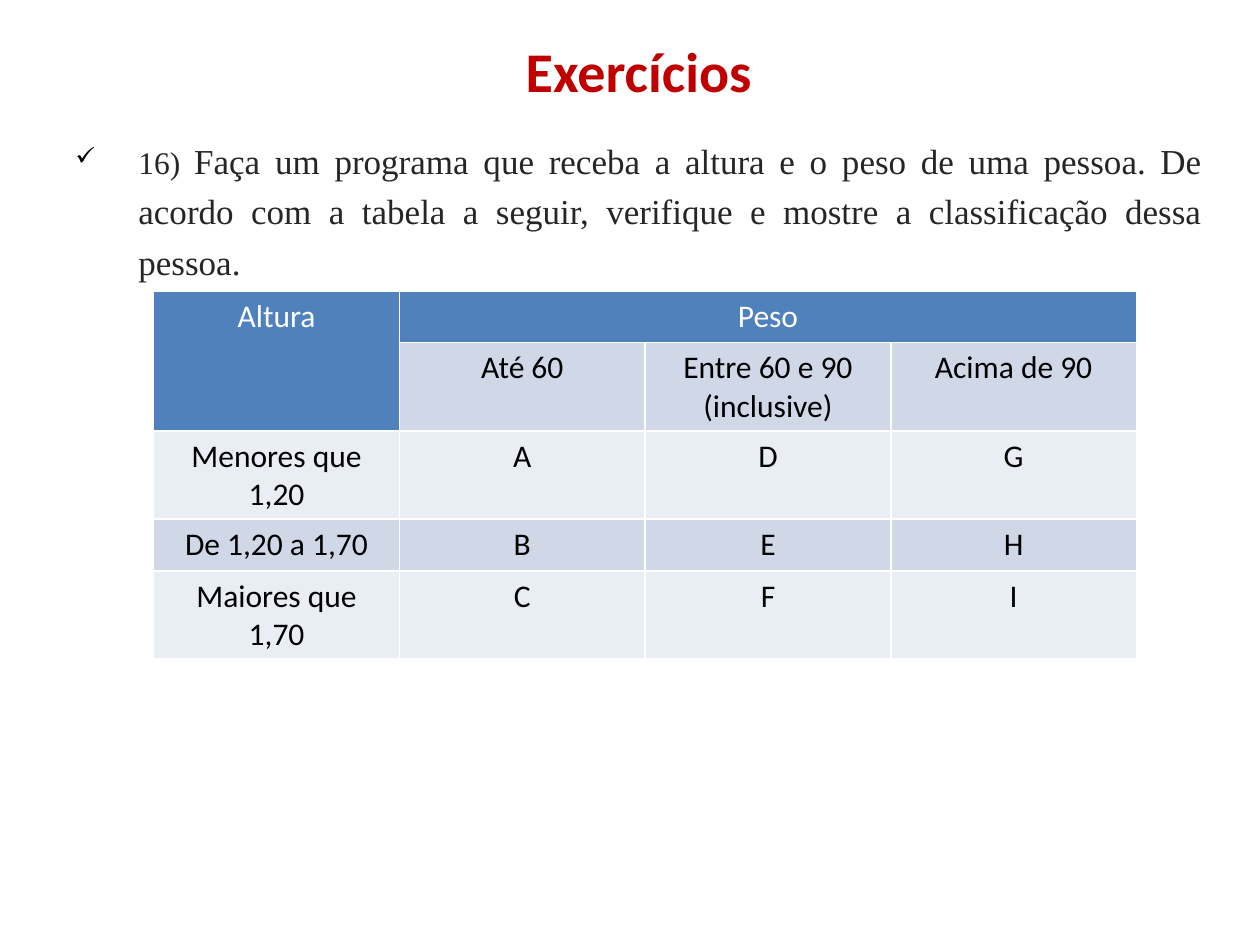
from lxml.etree import SubElement
from pptx import Presentation
from pptx.dml.color import RGBColor
from pptx.enum.text import MSO_ANCHOR as Anchor, PP_ALIGN as Align
from pptx.oxml.ns import qn
from pptx.util import Inches, Pt

HEADER, BAND_DARK, BAND_LIGHT = "4F81BD", "D0D8E8", "E9EDF4"
WHITE, BLACK, RED, GRAY = "FFFFFF", "000000", "C00000", "262626"
SANS, SERIF = "Calibri", "Times New Roman"
ROWS = [
    ["Altura", "Peso", "", ""],
    ["", "Até 60", "Entre 60 e 90 (inclusive)", "Acima de 90"],
    ["Menores que 1,20", "A", "D", "G"],
    ["De 1,20 a 1,70", "B", "E", "H"],
    ["Maiores que 1,70", "C", "F", "I"],
]
ROW_HEIGHTS = [0.41, 0.7, 0.7, 0.41, 0.7]
MERGES = [((0, 0), (1, 0)), ((0, 1), (0, 3))]


def color(value):
    return RGBColor.from_string(value)


class SlideBuilder:
    """Holds the slide and the style of its title, exercise text and table."""

    def __init__(self, slide):
        self.slide = slide

    def style(self, run, size, font, hex_color, bold=False):
        run.font.size = Pt(size)
        run.font.name = font
        run.font.bold = bold
        run.font.color.rgb = color(hex_color)

    def text_box(self, left, top, width, height):
        shape = self.slide.shapes.add_textbox(*map(Inches, (left, top, width, height)))
        shape.text_frame.word_wrap = True
        return shape.text_frame

    def title(self, text, *bounds):
        text_frame = self.text_box(*bounds)
        text_frame.vertical_anchor = Anchor.MIDDLE
        text_frame.text = text
        paragraph = text_frame.paragraphs[0]
        paragraph.alignment = Align.CENTER
        self.style(paragraph.runs[0], 32, SANS, RED, bold=True)

    def exercise(self, parts, *bounds):
        paragraph = self.text_box(*bounds).paragraphs[0]
        paragraph.alignment = Align.JUSTIFY
        paragraph.line_spacing = 1.2
        paragraph.space_before = Pt(6)
        for text, size in parts:
            run = paragraph.add_run()
            run.text = text
            self.style(run, size, SERIF, GRAY)
        self.bullet(paragraph, "✓")

    def bullet(self, paragraph, symbol):
        properties = paragraph._p.get_or_add_pPr()
        properties.set("marL", str(Inches(0.65)))
        properties.set("indent", str(Inches(-0.5)))
        bullet_color = SubElement(properties, qn("a:buClr"))
        SubElement(bullet_color, qn("a:srgbClr"), val=BLACK)
        SubElement(properties, qn("a:buSzPct"), val="80000")
        SubElement(properties, qn("a:buChar"), char=symbol)

    def table(self, rows, heights, merges, left, top, width):
        bounds = map(Inches, (left, top, width, sum(heights)))
        table = self.slide.shapes.add_table(len(rows), len(rows[0]), *bounds).table
        for row, height in zip(table.rows, heights):
            row.height = Inches(height)
        for start, end in merges:
            table.cell(*start).merge(table.cell(*end))
        for row_index, row in enumerate(rows):
            band = BAND_DARK if row_index % 2 else BAND_LIGHT
            for column_index, text in enumerate(row):
                cell = table.cell(row_index, column_index)
                is_header = cell.is_merge_origin or cell.is_spanned
                self.cell(cell, text, HEADER if is_header else band, WHITE if is_header else BLACK)

    def cell(self, cell, text, fill, text_color):
        self.borders(cell)
        cell.fill.solid()
        cell.fill.fore_color.rgb = color(fill)
        if text:
            cell.text_frame.text = text
            paragraph = cell.text_frame.paragraphs[0]
            paragraph.alignment = Align.CENTER
            self.style(paragraph.runs[0], 18, SANS, text_color)

    def borders(self, cell):
        properties = cell._tc.get_or_add_tcPr()
        for side in "LRTB":
            line = SubElement(properties, qn(f"a:ln{side}"), w=str(Pt(1)))
            fill = SubElement(line, qn("a:solidFill"))
            SubElement(fill, qn("a:srgbClr"), val=WHITE)


def main():
    presentation = Presentation()
    presentation.slide_width = Inches(10)
    presentation.slide_height = Inches(7.5)
    builder = SlideBuilder(presentation.slides.add_slide(presentation.slide_layouts[6]))
    question = (
        "Faça um programa que receba a altura e o peso de uma pessoa. "
        "De acordo com a tabela a seguir, verifique e mostre a classificação dessa pessoa."
    )
    builder.exercise([("16) ", 18), (question, 20)], 0.35, 0.99, 9.29, 5.83)
    builder.title("Exercícios", 0.65, -0.11, 8.84, 1.34)
    builder.table(ROWS, ROW_HEIGHTS, MERGES, 1.22, 2.31, 7.8)
    presentation.save("out.pptx")


if __name__ == "__main__":
    main()
